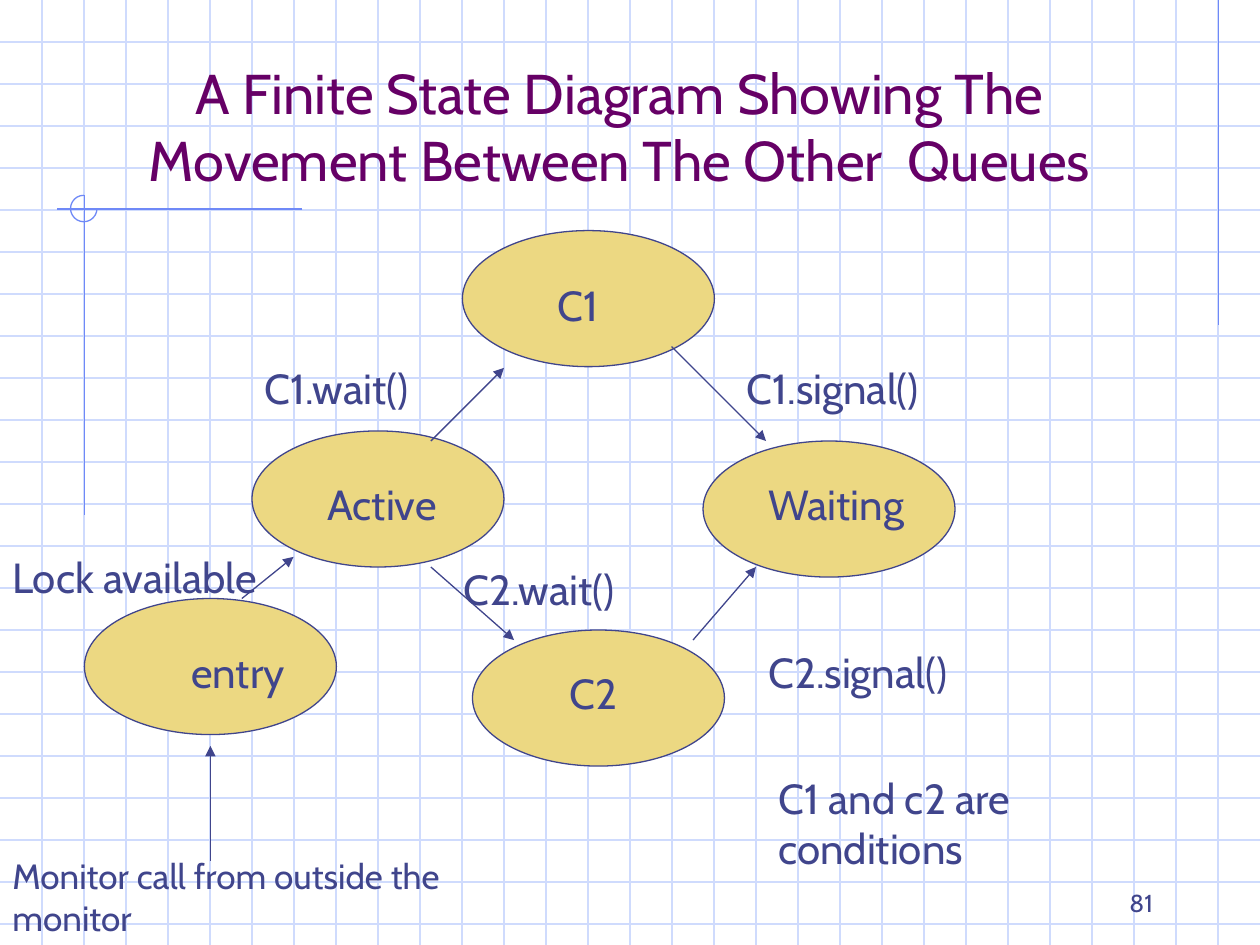
from lxml import etree
from pptx import Presentation
from pptx import util as u
from pptx.dml.color import RGBColor
from pptx.enum import shapes, text
from pptx.oxml.ns import qn

# Content
COLORS = {"grid": "CFDBFD", "accent": "6F89F7", "title": "660066",
          "ink": "40458C", "state": "ECD882"}
WIDTH, HEIGHT = 10, 7.5
GRID_STEP = 1 / 3
STATE_SIZE = (2, 1.08)

TITLE = "A Finite State Diagram Showing The Movement Between The Other  Queues"

# Name, ellipse corner, label box (left, top, width, height)
STATES = [
    ("C1", (3.67, 1.83), (4.33, 2.17, 0.75, 0.5)),
    ("Active", (2, 3.42), (2.5, 3.75, 1.17, 0.5)),
    ("Waiting", (5.58, 3.5), (6, 3.75, 1.5, 0.5)),
    ("C2", (3.75, 5), (4.42, 5.25, 0.92, 0.5)),
    ("entry", (0.67, 4.75), (1.42, 5.08, 1.17, 0.5)),
]

# Start and end of each transition
TRANSITIONS = [
    ((1.67, 6.83), (1.67, 5.92)),
    ((5.33, 2.75), (6.08, 3.5)),
    ((5.5, 5.08), (6, 4.5)),
    ((1.92, 4.75), (2.33, 4.42)),
    ((3.67, 3.08), (3.67, 3.08)),
    ((3.42, 3.5), (4, 2.92)),
    ((3.42, 4.5), (4.08, 5.08)),
]

# Text, box, font size
LABELS = [
    ("Monitor call from outside the monitor", (0, 6.73, 3.75, 0.77), 20),
    ("C1.wait()", (2, 2.83, 1.67, 0.5), 24),
    ("C1.signal()", (5.83, 2.83, 2.33, 0.5), 24),
    ("C2.signal()", (6, 5.08, 2.5, 0.5), 24),
    ("Lock available", (0, 4.33, 2.75, 0.5), 24),
    ("C2.wait()", (3.58, 4.42, 1.67, 0.5), 24),
    ("C1 and c2 are conditions", (6.08, 6.08, 3.5, 0.9), 24),
]

ACCENT_LINES = [
    ((9.67, 0), (9.67, 2.58)),
    ((2.4, 1.66), (0.45, 1.66)),
    ((0.67, 1.55), (0.67, 4.09)),
]


def color(name):
    return RGBColor.from_string(COLORS[name])


def set_line(shape, name):
    shape.line.color.rgb = color(name)
    shape.line.width = u.Pt(0.75)


def add_line(page, start, end, name, arrow=False):
    line = page.shapes.add_connector(
        shapes.MSO_CONNECTOR.STRAIGHT, *map(u.Inches, start + end))
    set_line(line, name)
    if arrow:
        etree.SubElement(line.line._get_or_add_ln(), qn("a:tailEnd"), type="triangle")
    etree.SubElement(line._element.spPr, qn("a:effectLst"))


def add_shape(page, kind, area):
    shape = page.shapes.add_shape(kind, *map(u.Inches, area))
    shape.shadow.inherit = False
    return shape


def add_text(page, words, area, size=24, name="ink", align="LEFT", anchor="TOP"):
    box = page.shapes.add_textbox(*map(u.Inches, area))
    frame = box.text_frame
    frame_format = {"word_wrap": True,
                    "vertical_anchor": getattr(text.MSO_ANCHOR, anchor)}
    for key, value in frame_format.items():
        setattr(frame, key, value)
    para = frame.paragraphs[0]
    para.alignment = getattr(text.PP_ALIGN, align)
    span = para.add_run()
    span.text = words
    for key, value in {"name": "Cabin", "size": u.Pt(size)}.items():
        setattr(span.font, key, value)
    span.font.color.rgb = color(name)


def main():
    deck = Presentation()
    deck.slide_width, deck.slide_height = u.Inches(WIDTH), u.Inches(HEIGHT)
    page = deck.slides.add_slide(deck.slide_layouts[6])

    # Background grid
    for row in range(1, 23):
        y = row * GRID_STEP
        add_line(page, (0, y), (WIDTH, y), "grid")
    for column in range(1, 30):
        x = column * GRID_STEP
        add_line(page, (x, 0), (x, HEIGHT), "grid")

    # Accent lines and three-quarter circle
    for start, end in ACCENT_LINES:
        add_line(page, start, end, "accent")
    arc = add_shape(page, shapes.MSO_SHAPE.ARC, (0.56, 1.55, 0.21, 0.21))
    arc.adjustments[0], arc.adjustments[1] = 0, 162  # 0 to 270 degrees
    arc.fill.background()
    set_line(arc, "accent")

    add_text(page, TITLE, (0.67, 0.33, 8.5, 1.25), 32, "title", "CENTER", "BOTTOM")

    # States
    for name, corner, label_area in STATES:
        state = add_shape(page, shapes.MSO_SHAPE.OVAL, corner + STATE_SIZE)
        state.fill.solid()
        state.fill.fore_color.rgb = color("state")
        set_line(state, "ink")
        add_text(page, name, label_area)

    # Transitions and their labels
    for start, end in TRANSITIONS:
        add_line(page, start, end, "ink", arrow=True)
    for words, area, size in LABELS:
        add_text(page, words, area, size)

    # Page number
    add_text(page, "81", (7.17, 6.83, 2.08, 0.5), 14, align="RIGHT", anchor="BOTTOM")

    deck.save("out.pptx")


if __name__ == "__main__":
    main()
